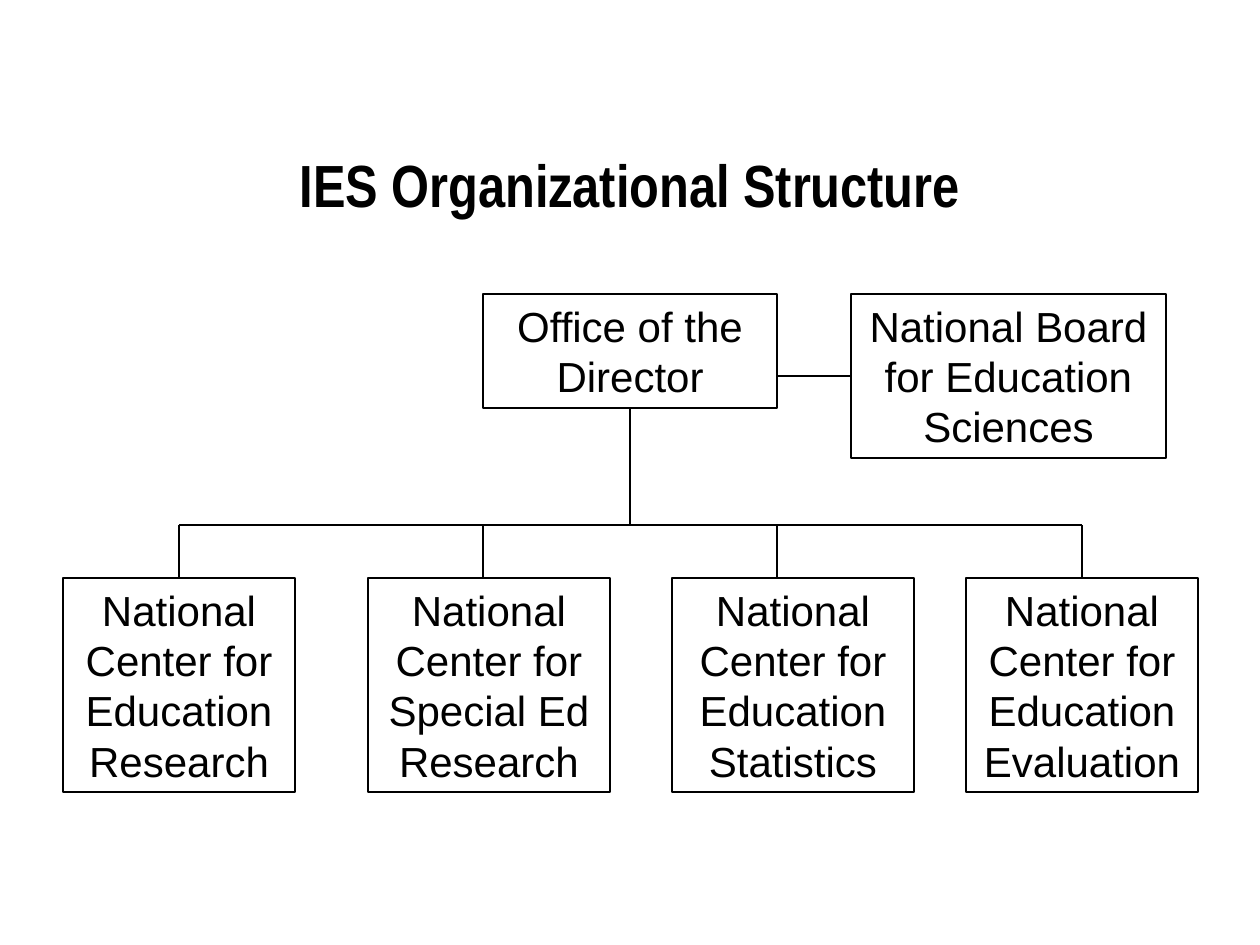
from pptx import Presentation
from pptx.dml.color import RGBColor
from pptx.enum.shapes import MSO_CONNECTOR, MSO_SHAPE
from pptx.enum.text import MSO_ANCHOR, MSO_AUTO_SIZE, PP_ALIGN
from pptx.oxml.ns import qn
from pptx.util import Emu, Pt
from lxml import etree

RECTANGLE = MSO_SHAPE.RECTANGLE
STRAIGHT = MSO_CONNECTOR.STRAIGHT
CENTER = PP_ALIGN.CENTER
TOP, MIDDLE = MSO_ANCHOR.TOP, MSO_ANCHOR.MIDDLE
NO_AUTOFIT, GROW = MSO_AUTO_SIZE.NONE, MSO_AUTO_SIZE.SHAPE_TO_FIT_TEXT
TOP_SIDE, LEFT_SIDE, BOTTOM_SIDE = 0, 1, 2
TITLE_ONLY = 5

PX_PER_INCH = 126
COLORS = {"ink": "000000", "background": "FFFFFF"}


def px(value):
    return Emu(round(value * 914400 / PX_PER_INCH))


def color(name):
    return RGBColor.from_string(COLORS[name])


class ChartSlide:
    """Holds the style and the slide that the organization chart is drawn on."""

    title_font, title_size = "Arial Narrow", Pt(34)
    box_font, box_size = "Arial", Pt(24)
    line_width = Pt(1)

    def __init__(self, presentation):
        self.slide = presentation.slides.add_slide(presentation.slide_layouts[TITLE_ONLY])
        fill = self.slide.background.fill
        fill.solid()
        fill.fore_color.rgb = color("background")

    def set_text(self, shape, text, font, size, bold, anchor, auto_size):
        frame = shape.text_frame
        frame.word_wrap = True
        frame.auto_size = auto_size
        frame.vertical_anchor = anchor
        paragraph = frame.paragraphs[0]
        paragraph.alignment = CENTER
        run = paragraph.add_run()
        run.text = text
        run.font.name, run.font.size, run.font.bold = font, size, bold
        run.font.color.rgb = color("ink")

    def outline(self, shape):
        shape.line.color.rgb = color("ink")
        shape.line.width = self.line_width

    def title(self, text, left, top, width, height):
        shape = self.slide.shapes.title
        shape.left, shape.top = px(left), px(top)
        shape.width, shape.height = px(width), px(height)
        self.set_text(shape, text, self.title_font, self.title_size, True, MIDDLE, NO_AUTOFIT)

    def box(self, text, left, top, width, height):
        shape = self.slide.shapes.add_shape(
            RECTANGLE, px(left), px(top), px(width), px(height))
        shape.shadow.inherit = False
        shape.fill.background()
        self.outline(shape)
        self.set_text(shape, text, self.box_font, self.box_size, False, TOP, GROW)
        return shape

    def line(self, x1, y1, x2, y2, box=None, side=None):
        """Draw a line, its start joined to a side of a box if one is given."""
        connector = self.slide.shapes.add_connector(
            STRAIGHT, px(x1), px(y1), px(x2), px(y2))
        if box is not None:
            connector.begin_connect(box, side)
        self.outline(connector)
        etree.SubElement(connector._element.spPr, qn("a:effectLst"))


def main():
    presentation = Presentation()
    presentation.slide_width, presentation.slide_height = px(1260), px(945)
    chart = ChartSlide(presentation)
    chart.title("IES Organizational Structure", 95, 126, 1070, 116)

    office_top, bus_y, center_top = 294, 525, 578
    director = chart.box("Office of the Director", 483, office_top, 294, 114)
    board = chart.box("National Board for Education Sciences", 851, office_top, 315, 164)
    board_y = office_top + 164 // 2
    chart.line(851, board_y, 777, board_y, board, LEFT_SIDE)
    chart.line(630, office_top + 114, 630, bus_y, director, BOTTOM_SIDE)

    # Subject, left, width and stem position; the inner stems line up with the director's box
    centers = [
        ("Education Research", 63, 232, 179),
        ("Special Ed Research", 368, 242, 483),
        ("Education Statistics", 672, 242, 777),
        ("Education Evaluation", 966, 232, 1082),
    ]
    for subject, left, width, stem_x in centers:
        center = chart.box(f"National Center for {subject}", left, center_top, width, 214)
        joined = center if stem_x == left + width // 2 else None
        chart.line(stem_x, center_top, stem_x, bus_y, joined, TOP_SIDE)
    chart.line(centers[0][-1], bus_y, centers[-1][-1], bus_y)

    presentation.save("out.pptx")


if __name__ == "__main__":
    main()
